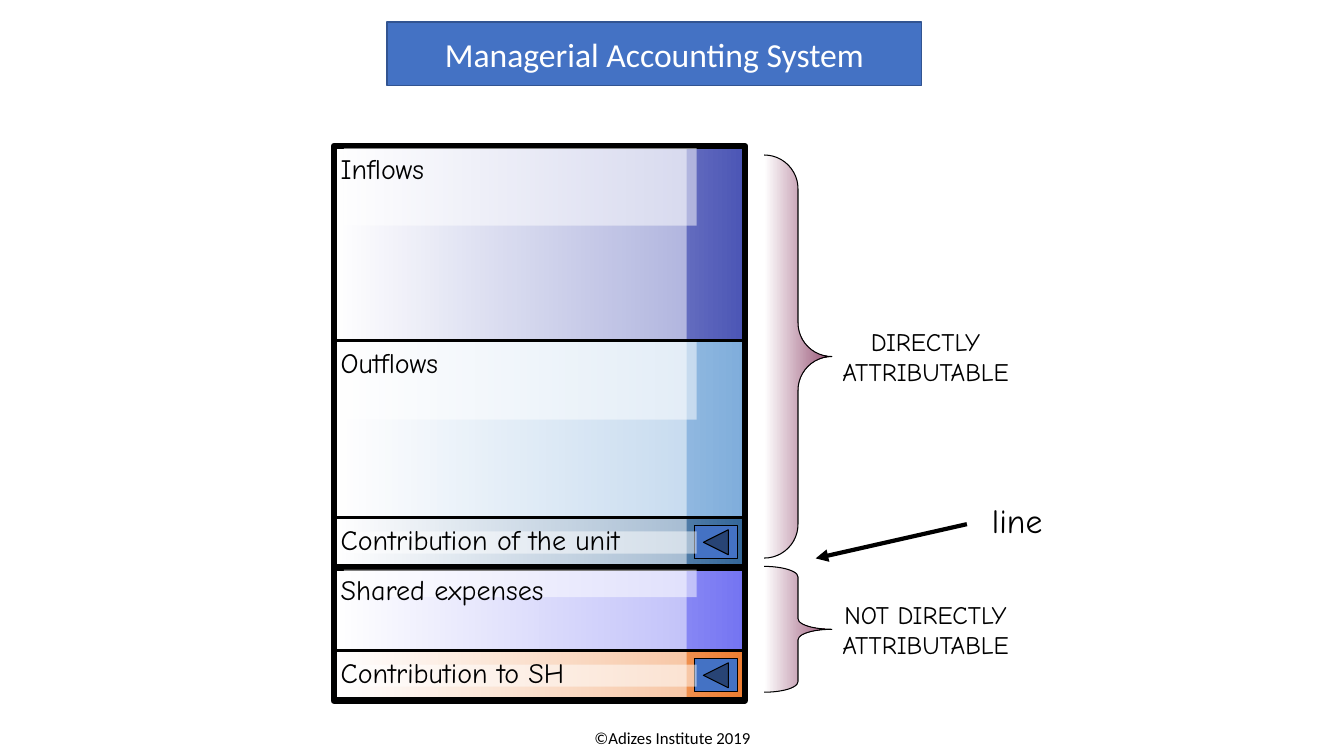
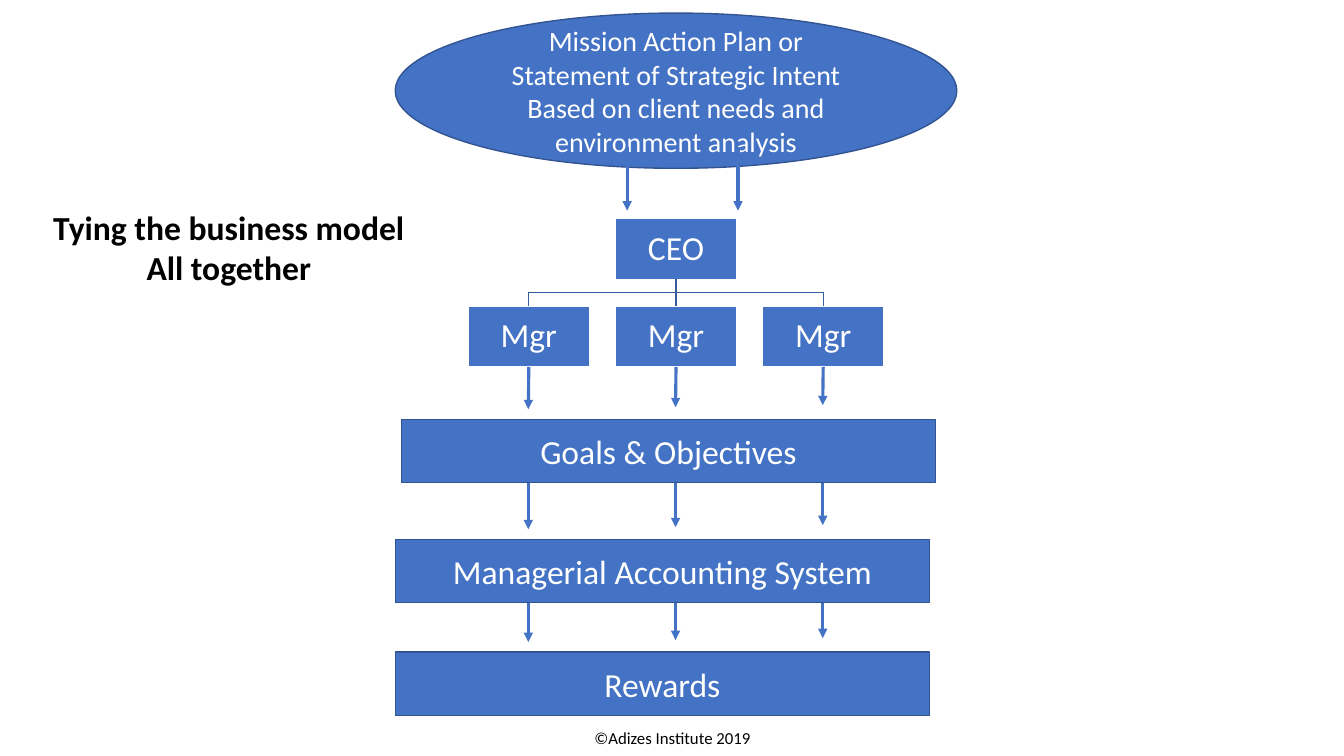
from lxml.etree import SubElement
from pptx import Presentation
from pptx.dml.color import RGBColor
from pptx.enum.shapes import MSO_CONNECTOR as CONN, MSO_SHAPE as SHAPE
from pptx.enum.text import MSO_ANCHOR as ANCHOR, MSO_AUTO_SIZE as AUTO, PP_ALIGN as ALIGN
from pptx.oxml.ns import qn
from pptx.util import Inches, Pt

C = {"blue": "4472C4", "edge": "325491", "link": "365B9D", "black": "000000", "white": "FFFFFF",
     "inflow": "4B55B5", "outflow": "7FADDB", "unit": "336699", "shared": "7474F2",
     "holders": "ED7D31", "brace": "954F72"}
SANS, HAND = "Calibri", "Comic Neue"
ROWS = [("Inflows", .35, "inflow", .14, False),
        ("Outflows", .32, "outflow", .14, False),
        ("Contribution of the unit", .09, "unit", .04, True),
        ("Shared expenses", .15, "shared", .05, False),
        ("Contribution to SH", .09, "holders", .04, True)]
BRACES = [("DIRECTLY\nATTRIBUTABLE", .016, .727, .5),
          ("NOT DIRECTLY\nATTRIBUTABLE", .758, .227, .156)]


def rgb(name):
    """Return a palette colour."""
    return RGBColor.from_string(C[name])


def write(tf, text, size, color="black", font=SANS, align=ALIGN.CENTER, bold=False, spacing=None):
    """Fill a text frame and format its paragraphs."""
    tf.text = text
    for p in tf.paragraphs:
        p.alignment = align
        p.line_spacing = spacing
        p.font.bold = bold
        for r in p.runs:
            r.font.size, r.font.name, r.font.bold = Pt(size), font, bold
            r.font.color.rgb = rgb(color)


def inset(tf, left, top, right, bottom):
    """Set the four margins of a text frame."""
    tf.margin_left, tf.margin_top = Inches(left), Inches(top)
    tf.margin_right, tf.margin_bottom = Inches(right), Inches(bottom)


def shape(s, kind, x, y, w, h, fill=None, line=None, width=1, fade=None, alpha=None):
    """Add a preset shape with a plain, faded, translucent or empty fill."""
    sp = s.shapes.add_shape(kind, Inches(x), Inches(y), Inches(w), Inches(h))
    sp.shadow.inherit = False
    if fade:
        sp.fill.gradient()
        sp.fill.gradient_angle = 0
        for stop, pos, name in zip(sp.fill.gradient_stops, (0, 1), ("white", fade)):
            stop.position, stop.color.rgb = pos, rgb(name)
    elif fill:
        sp.fill.solid()
        sp.fill.fore_color.rgb = rgb(fill)
        if alpha:
            color = next(sp.element.spPr.iter(qn("a:srgbClr")))
            SubElement(color, qn("a:alpha"), val=str(alpha * 1000))
    else:
        sp.fill.background()
    if line:
        sp.line.color.rgb, sp.line.width = rgb(line), Pt(width)
    else:
        sp.line.fill.background()
    return sp


def label(s, text, x, y, w, h, size, font=SANS, align=ALIGN.LEFT, bold=False):
    """Add an unwrapped text box that fits its text."""
    tf = s.shapes.add_textbox(Inches(x), Inches(y), Inches(w), Inches(h)).text_frame
    tf.word_wrap = False
    tf.auto_size = AUTO.SHAPE_TO_FIT_TEXT
    write(tf, text, size, font=font, align=align, bold=bold)


def line(s, x1, y1, x2, y2, color, width, arrow=False):
    """Add a straight line or arrow."""
    cn = s.shapes.add_connector(CONN.STRAIGHT, Inches(x1), Inches(y1), Inches(x2), Inches(y2))
    cn.line.color.rgb, cn.line.width = rgb(color), Pt(width)
    if arrow:
        SubElement(cn.line._get_or_add_ln(), qn("a:tailEnd"), type="triangle")
    SubElement(cn.element.spPr, qn("a:effectLst"))
    return cn


def bar(s, text, x, y, w=5.3, h=.63):
    """Add a blue title bar."""
    sp = shape(s, SHAPE.RECTANGLE, x, y, w, h, "blue", "edge")
    write(sp.text_frame, text, 24, "white")


def new_slide(prs):
    """Add a blank slide with the footer."""
    s = prs.slides.add_slide(prs.slide_layouts[6])
    tf = s.shapes.add_textbox(Inches(4.45), Inches(7.18), Inches(4.44), Inches(.3)).text_frame
    tf.word_wrap = True
    inset(tf, .1, .06, .1, .05)
    write(tf, "©Adizes Institute 2019", 12, spacing=.93)
    return s


def ledger(s, x, y, w, h):
    """Draw the framed stack of accounting rows."""
    tops = [y + h * sum(row[1] for row in ROWS[:i]) for i in range(len(ROWS))]
    for top, (_, share, color, _, _) in zip(tops, ROWS):
        shape(s, SHAPE.RECTANGLE, x, top, w, share * h, fade=color)
    shape(s, SHAPE.RECTANGLE, x, y, 3.5, h, "white", alpha=50)
    shape(s, SHAPE.RECTANGLE, x, y, w, h, line="black", width=4.5)
    for i, top in enumerate(tops[1:], 1):
        line(s, x, top, x + w, top, "black", 4.5 if i == 3 else 2.25)
    for top, (text, share, _, pale, button) in zip(tops, ROWS):
        if button:
            shape(s, SHAPE.ACTION_BUTTON_BACK_OR_PREVIOUS, x + w - .5, top + .08, .42, .33,
                  "blue", "black", .75)
        gap = (share - pale) * h / 2 if button else .02
        shape(s, SHAPE.RECTANGLE, x + .1, top + gap, 3.5, pale * h, "white", alpha=50)
        label(s, text, x - .03, top, 3.44 if button else 2.44, .44, 20, HAND)


def braces(s, x, y, w, h):
    """Draw the braces with their captions beside the ledger."""
    for text, top, share, curve in BRACES:
        sp = shape(s, SHAPE.RIGHT_BRACE, x, y + top * h, .67, share * h,
                   line="black", width=.75, fade="brace")
        sp.adjustments[0], sp.adjustments[1] = curve, .5
        middle = y + (top + share / 2) * h
        label(s, text, x + w - 2.2, middle - .35, 2.2, .71, 18, HAND, ALIGN.CENTER)
    label(s, "line", x + 2.16, y + 3.46, .75, .51, 24, HAND)
    line(s, x + 2.01, y + 3.75, x + .51, y + 4.09, "black", 3, arrow=True)


def org_chart(s, x, y, w, h):
    """Draw the CEO above three managers and return the managers."""
    bw, bh = .293 * w, .41 * h
    step, low = (w - bw) / 2, y + h - bh

    def person(text, left, top):
        """Add one box of the chart."""
        sp = shape(s, SHAPE.RECTANGLE, left, top, bw, bh, "blue", "white")
        inset(sp.text_frame, .02, .02, .02, .02)
        write(sp.text_frame, text, 24, "white", spacing=.9)
        return sp

    ceo = person("CEO", x + step, y)
    managers = [person("Mgr", x + i * step, low) for i in range(3)]
    mid, top, bend = x + w / 2, y + bh, y + h / 2
    for side in (mid - step, mid + step):
        fb = s.shapes.build_freeform(Inches(mid), Inches(top))
        fb.add_line_segments([(Inches(a), Inches(b)) for a, b in
                              ((mid, bend), (side, bend), (side, low))], close=False)
        sp = fb.convert_to_shape()
        sp.shadow.inherit = False
        sp.fill.background()
        sp.line.color.rgb, sp.line.width = rgb("link"), Pt(1)
    stem = line(s, mid, top, mid, low, "link", 1)
    stem.begin_connect(ceo, 2)
    stem.end_connect(managers[1], 0)
    return managers


def arrows(s, x, y, step, h, sources=()):
    """Draw three downward arrows, each a little shorter than the last."""
    for i in range(3):
        cn = line(s, x + i * step, y, x + i * step, y + h - .02 * i, "blue", 2.25, arrow=True)
        if sources:
            cn.begin_connect(sources[i], 2)


def accounting_slide(prs):
    """Build the accounting system slide."""
    s = new_slide(prs)
    ledger(s, 3.31, 1.45, 4.08, 5.5)
    braces(s, 7.58, 1.45, 2.7, 5.5)
    bar(s, "Managerial Accounting System", 3.84, .22)


def model_slide(prs):
    """Build the business model slide."""
    s = new_slide(prs)
    managers = org_chart(s, 4.64, 2.17, 4.13, 1.47)
    mission = shape(s, SHAPE.OVAL, 3.92, .13, 5.57, 1.54, "blue", "edge")
    mission.text_frame.vertical_anchor = ANCHOR.MIDDLE
    write(mission.text_frame, "Mission Action Plan or\vStatement of Strategic Intent\n"
          "Based on client needs and environment analysis", 20, "white")
    for x in (6.22, 7.32):
        line(s, x, 1.46, x, 2.09, "blue", 2.25, arrow=True)
    arrows(s, 5.24, 3.64, 1.46, .42, managers)
    for y, h in ((4.79, .46), (5.98, .39)):
        arrows(s, 5.24, y, 1.46, h)
    for text, x, y in (("Goals & Objectives", 3.98, 4.16),
                       ("Managerial Accounting System", 3.92, 5.35),
                       ("Rewards", 3.92, 6.47)):
        bar(s, text, x, y)
    label(s, "Tying the business model\nAll together", .41, 2, 3.72, .91, 24,
          align=ALIGN.CENTER, bold=True)


def main():
    """Build and save the presentation."""
    prs = Presentation()
    prs.slide_width, prs.slide_height = Inches(13.33), Inches(7.5)
    accounting_slide(prs)
    model_slide(prs)
    prs.save("out.pptx")


if __name__ == "__main__":
    main()
